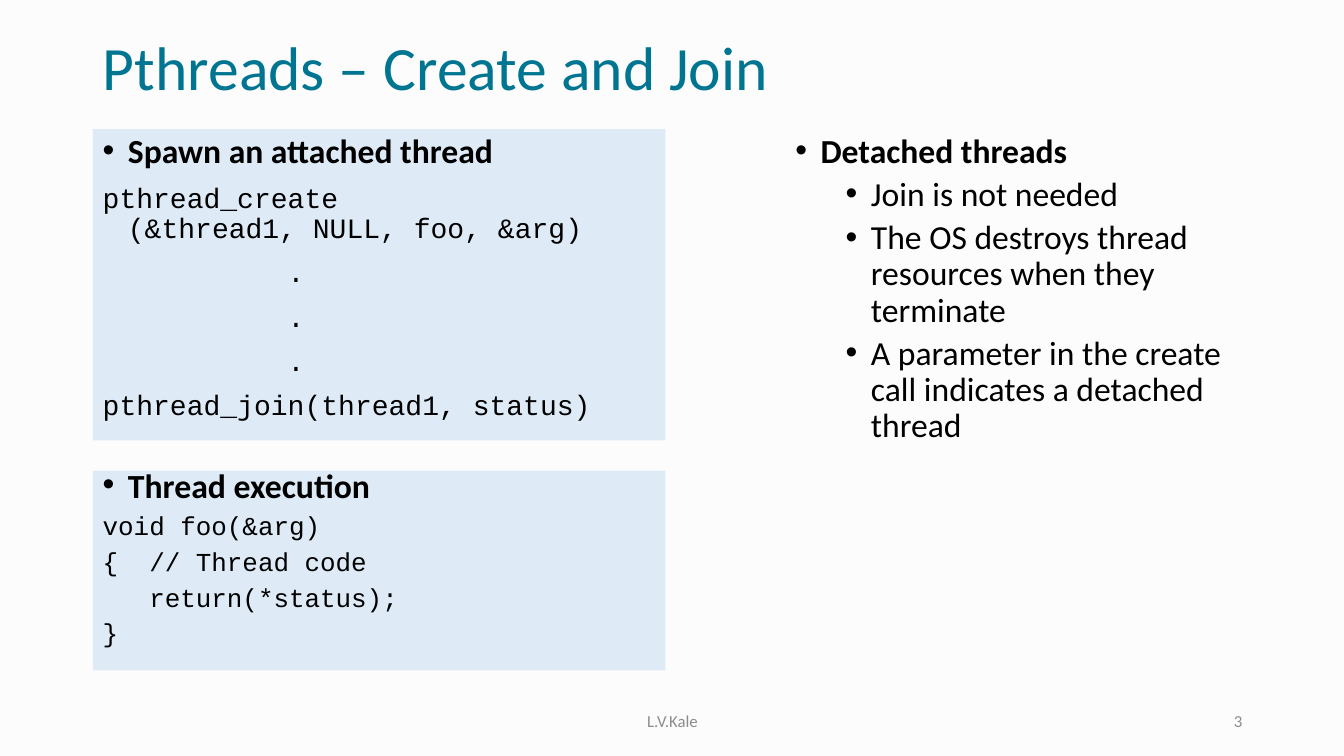
from lxml import etree
from pptx import Presentation
from pptx import util as u
from pptx.dml.color import RGBColor
from pptx.enum import shapes, text
from pptx.oxml.ns import qn

BACKGROUND, PANEL, TEAL, GREY, BLACK = "FCFCFC", "DEEBF7", "007592", "8C8C8C", "000000"
LEFT, PANEL_WIDTH, BODY_TOP = 0.92, 5.68, 1.28
FOOTER_TOP, FOOTER_HEIGHT = 6.95, 0.4
HANGING = 0.25

STYLES = {
    "title": dict(size=44, color=TEAL, line=0.9),
    "footer": dict(size=12, color=GREY),
    "heading": dict(size=24, bold=True, bullet=True, margin=HANGING, line=0.9, before=10),
    "point": dict(size=24, bullet=True, margin=0.75, level=1, line=0.9, before=5),
    "code": dict(size=20, font="Courier New", margin=HANGING, line=0.9, before=10),
    "tight heading": dict(size=24.1, bold=True, bullet=True, margin=HANGING, line=0.7, before=10),
    "tight code": dict(size=18.5, font="Courier New", line=0.7, before=10),
}

TITLE = [("title", "Pthreads – Create and Join")]
AUTHOR = [("footer", "L.V.Kale")]
NUMBER = [("footer", "3")]
DETACHED = [
    ("heading", "Detached threads"),
    ("point", "Join is not needed"),
    ("point", "The OS destroys thread resources when they terminate"),
    ("point", "A parameter in the create call indicates a detached thread"),
]
SPAWN = [
    ("heading", "Spawn an attached thread"),
    ("code", "pthread_create\n(&thread1, NULL, foo, &arg)"),
    *[("code", "           .")] * 3,
    ("code", "pthread_join(thread1, status)"),
]
EXECUTION = [
    ("tight heading", "Thread execution"),
    ("tight code", "void foo(&arg)"),
    ("tight code", "{  // Thread code"),
    ("tight code", "   return(*status);"),
    ("tight code", "}"),
]

TOP, MIDDLE = text.MSO_ANCHOR.TOP, text.MSO_ANCHOR.MIDDLE
START, CENTER, END = text.PP_ALIGN.LEFT, text.PP_ALIGN.CENTER, text.PP_ALIGN.RIGHT

BOXES = [
    ((LEFT, 0.28, 11.5, 0.84), TITLE, MIDDLE, START),
    ((4.42, FOOTER_TOP, 4.5, FOOTER_HEIGHT), AUTHOR, MIDDLE, CENTER),
    ((9.42, FOOTER_TOP, 3, FOOTER_HEIGHT), NUMBER, MIDDLE, END),
    ((7.79, BODY_TOP, 4.74, 3.62), DETACHED, TOP, START),
]
PANELS = [
    ((LEFT, BODY_TOP, PANEL_WIDTH, 3.09), SPAWN, TOP, START),
    ((LEFT, 4.67, PANEL_WIDTH, 1.98), EXECUTION, TOP, START),
]


def paint(color_format, color):
    color_format.rgb = RGBColor.from_string(color)


def set_indent(paragraph, margin, bullet):
    properties = paragraph._p.get_or_add_pPr()
    if margin:
        properties.set("marL", str(u.Inches(margin)))
        properties.set("indent", str(-u.Inches(HANGING)))
    if bullet:
        font = etree.SubElement(properties, qn("a:buFont"))
        font.set("typeface", "Arial")
        etree.SubElement(properties, qn("a:buChar")).set("char", "•")
    else:
        etree.SubElement(properties, qn("a:buNone"))


def write_paragraph(paragraph, content, style, align, is_first):
    set_indent(paragraph, style.get("margin"), style.get("bullet"))
    paragraph.level = style.get("level", 0)
    paragraph.alignment = align
    paragraph.line_spacing = style.get("line", 1.0)
    paragraph.space_before = u.Pt(0 if is_first else style.get("before", 0))
    for index, line in enumerate(content.split("\n")):
        if index:
            paragraph.add_line_break()
        run = paragraph.add_run()
        run.text = line
        run.font.name = style.get("font", "Calibri")
        run.font.size = u.Pt(style["size"])
        run.font.bold = style.get("bold", False)
        paint(run.font.color, style.get("color", BLACK))


def write(shape, lines, anchor, align):
    frame = shape.text_frame
    frame.word_wrap = True
    frame.vertical_anchor = anchor
    for index, (style_name, content) in enumerate(lines):
        paragraph = frame.add_paragraph() if index else frame.paragraphs[0]
        write_paragraph(paragraph, content, STYLES[style_name], align, index == 0)


def add_panel(slide, place):
    shape = slide.shapes.add_shape(shapes.MSO_SHAPE.RECTANGLE, *place)
    shape.shadow.inherit = False
    shape.fill.solid()
    paint(shape.fill.fore_color, PANEL)
    shape.line.fill.background()
    return shape


def main():
    presentation = Presentation()
    presentation.slide_width = u.Inches(13.33)
    presentation.slide_height = u.Inches(7.5)
    slide = presentation.slides.add_slide(presentation.slide_layouts[6])
    slide.background.fill.solid()
    paint(slide.background.fill.fore_color, BACKGROUND)
    for place, *content in BOXES:
        write(slide.shapes.add_textbox(*map(u.Inches, place)), *content)
    for place, *content in PANELS:
        write(add_panel(slide, map(u.Inches, place)), *content)
    presentation.save("out.pptx")


if __name__ == "__main__":
    main()
